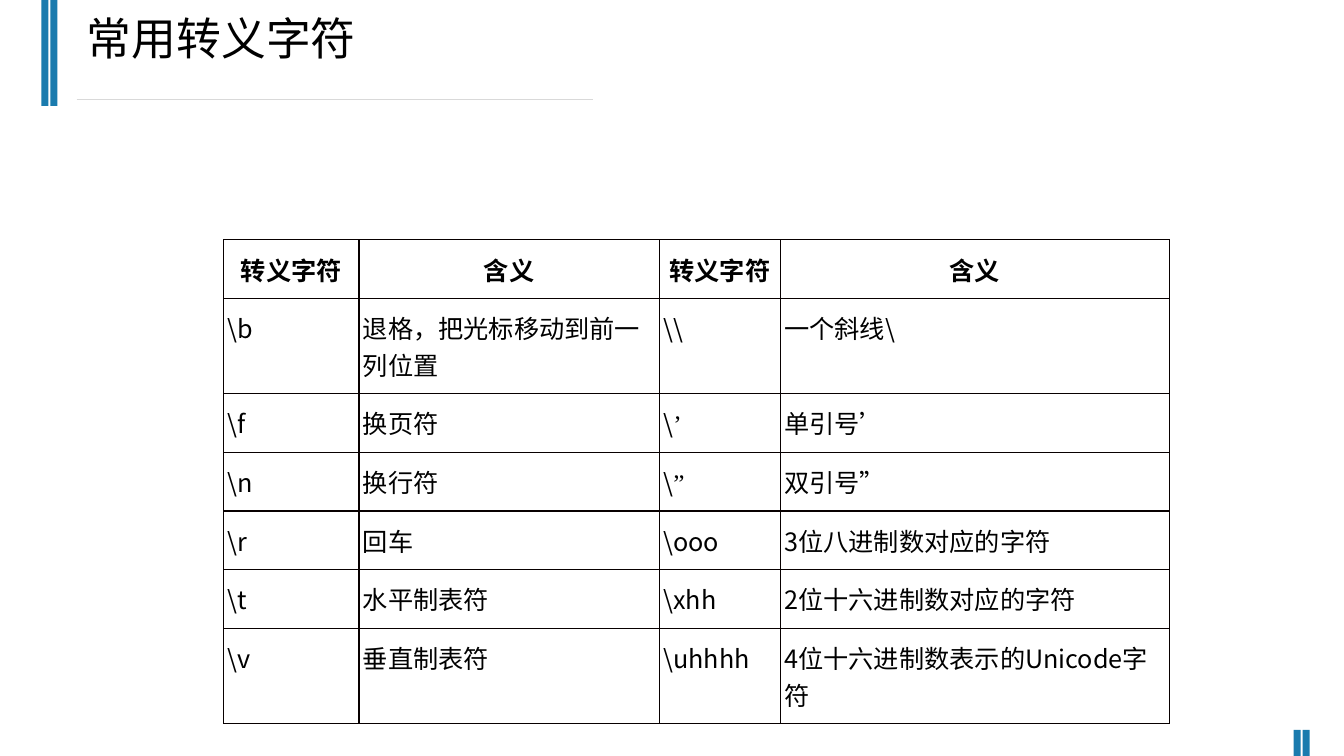
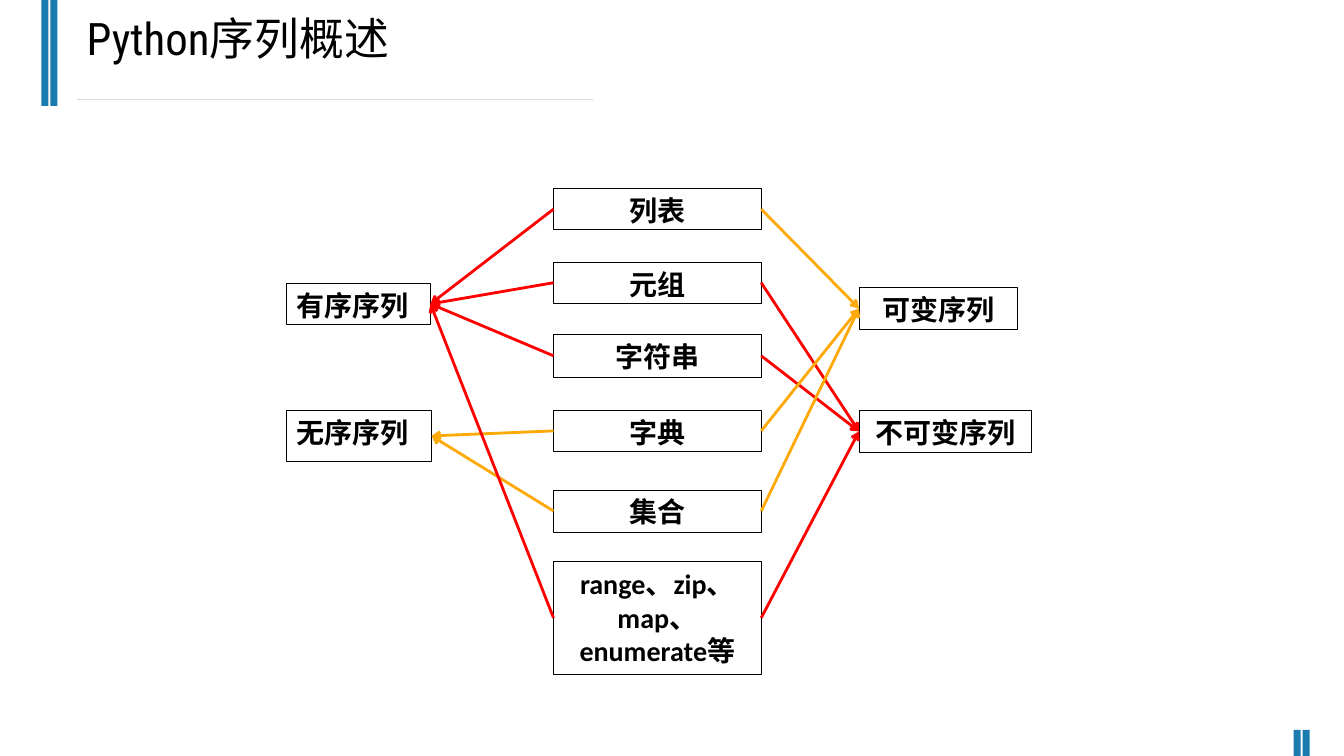
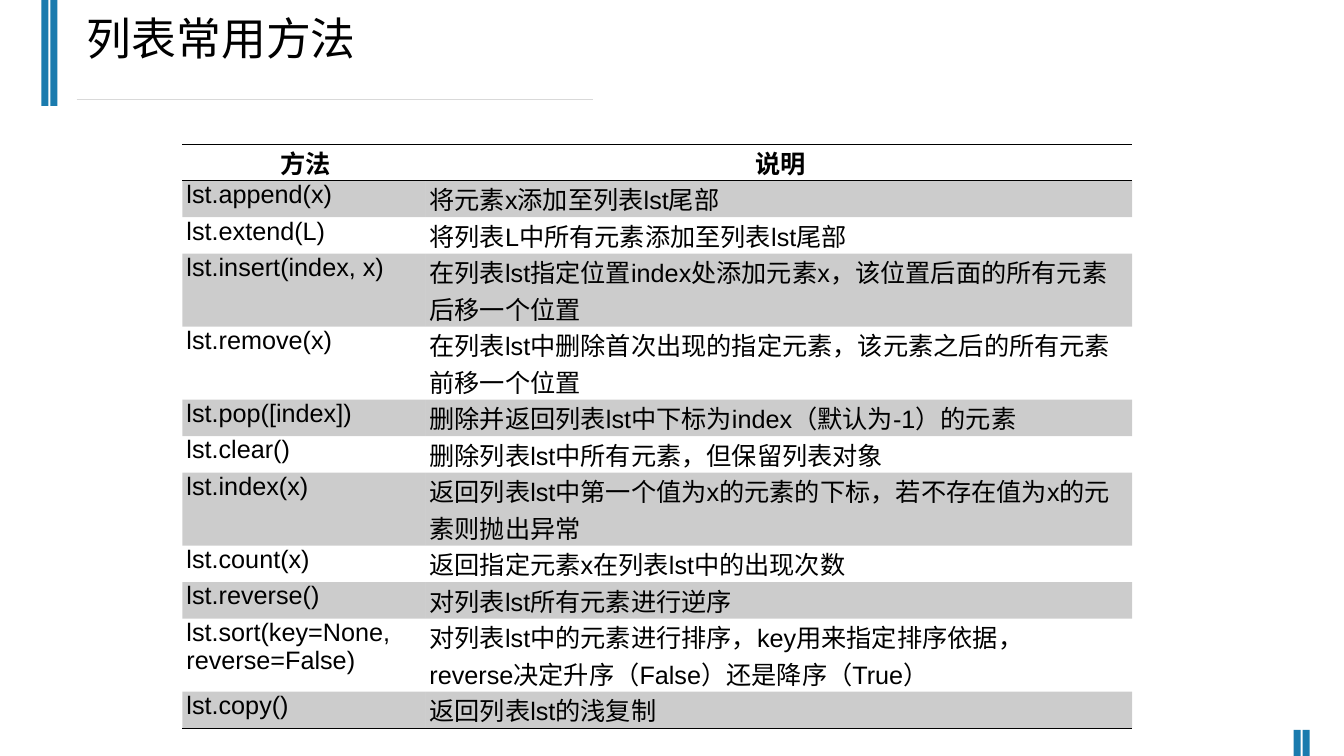
from itertools import groupby

from lxml import etree
from pptx import Presentation
from pptx.dml.color import RGBColor
from pptx.enum.lang import MSO_LANGUAGE_ID
from pptx.enum.shapes import MSO_CONNECTOR, MSO_SHAPE
from pptx.enum.text import MSO_ANCHOR, MSO_AUTO_SIZE, PP_ALIGN
from pptx.oxml.ns import qn
from pptx.util import Pt

PX = 9144
RECT, STRAIGHT = MSO_SHAPE.RECTANGLE, MSO_CONNECTOR.STRAIGHT
LEFT, CENTER, JUSTIFY = PP_ALIGN.LEFT, PP_ALIGN.CENTER, PP_ALIGN.JUSTIFY
TOP, NO_FIT = MSO_ANCHOR.TOP, MSO_AUTO_SIZE.NONE
CHINESE = MSO_LANGUAGE_ID.SIMPLIFIED_CHINESE

BLACK, WHITE, BLUE, GREY = "000000", "FFFFFF", "1A7BAE", "D9D9D9"
RED, ORANGE, GRID = "FF0000", "FDA907", "080000"
NOTO, SERIF = "Noto Sans CJK SC", "Times New Roman"
QUOTES = "’”"

BARS = [(41, 0, 7, 105), (50, 0, 7, 105), (1292, 724, 7, 26), (1283, 724, 7, 26)]
TITLE_RULE = (76, 99, 588, 99)
TITLE_BOX = (76, 6, 867, 64)
TITLE_STYLE = {"size": 32, "latin": "Roboto Condensed", "asian": "Roboto Condensed"}
BOX_STYLE = {"size": 20, "latin": "Calibri", "asian": "Calibri", "bold": True}

ESCAPES = {
    "at": (222, 238), "columns": [134, 298, 120, 386],
    "rows": [58, 91, 58, 58, 58, 58, 91],
    "margins": (4, 11), "header_margins": (0, 11),
    "lines": range(8), "line": GRID, "verticals": True, "banded": False, "font": NOTO,
    "cells": [
        ("转义字符", "含义", "转义字符", "含义"),
        ("\\b", "退格，把光标移动到前一列位置", "\\\\", "一个斜线\\"),
        ("\\f", "换页符", "\\’", "单引号’"),
        ("\\n", "换行符", "\\”", "双引号”"),
        ("\\r", "回车", "\\ooo", "3位八进制数对应的字符"),
        ("\\t", "水平制表符", "\\xhh", "2位十六进制数对应的字符"),
        ("\\v", "垂直制表符", "\\uhhhh", "4位十六进制数表示的Unicode字符"),
    ],
}

METHODS = {
    "at": (181, 143), "columns": [241, 701],
    "rows": [35, 35, 35, 69, 69, 35, 35, 69, 35, 35, 69, 35],
    "margins": (4, 0), "header_margins": (4, 0),
    "lines": (0, 1, 12), "line": BLACK, "verticals": False, "banded": True, "font": "Arial",
    "cells": [
        ("方法", "说明"),
        ("lst.append(x)", "将元素x添加至列表lst尾部"),
        ("lst.extend(L)", "将列表L中所有元素添加至列表lst尾部"),
        ("lst.insert(index, x)", "在列表lst指定位置index处添加元素x，该位置后面的所有元素后移一个位置"),
        ("lst.remove(x)", "在列表lst中删除首次出现的指定元素，该元素之后的所有元素前移一个位置"),
        ("lst.pop([index])", "删除并返回列表lst中下标为index（默认为-1）的元素"),
        ("lst.clear()", "删除列表lst中所有元素，但保留列表对象"),
        ("lst.index(x)", "返回列表lst中第一个值为x的元素的下标，若不存在值为x的元素则抛出异常"),
        ("lst.count(x)", "返回指定元素x在列表lst中的出现次数"),
        ("lst.reverse()", "对列表lst所有元素进行逆序"),
        ("lst.sort(key=None, reverse=False)",
         "对列表lst中的元素进行排序，key用来指定排序依据，\nreverse决定升序（False）还是降序（True）"),
        ("lst.copy()", "返回列表lst的浅复制"),
    ],
}

ORDERED, UNORDERED, MUTABLE, IMMUTABLE = "有序序列", "无序序列", "可变序列", "不可变序列"
CATEGORIES = [
    (ORDERED, (284, 281, 143, 41), JUSTIFY),
    (UNORDERED, (284, 407, 144, 51), JUSTIFY),
    (MUTABLE, (852, 285, 157, 42), CENTER),
    (IMMUTABLE, (852, 407, 171, 42), CENTER),
]
TYPES_X, TYPES_WIDTH = 549, 206
TYPES = [
    ("列表", 187, 41, ORDERED, MUTABLE),
    ("元组", 260, 41, ORDERED, IMMUTABLE),
    ("字符串", 332, 42, ORDERED, IMMUTABLE),
    ("字典", 407, 41, UNORDERED, MUTABLE),
    ("集合", 486, 42, UNORDERED, MUTABLE),
    ("range、zip、map、enumerate等", 557, 112, ORDERED, IMMUTABLE),
]
ARROW_COLORS = {ORDERED: RED, IMMUTABLE: RED, UNORDERED: ORANGE, MUTABLE: ORANGE}


def color(value):
    return RGBColor.from_string(value)


def emu(lengths):
    return [length * PX for length in lengths]


def apply(target, values):
    for name, value in values.items():
        setattr(target, name, value)


def write(frame, text, align, size, latin, asian, bold=False):
    for index, line in enumerate(text.split("\n")):
        paragraph = frame.add_paragraph() if index else frame.paragraphs[0]
        paragraph.alignment = align
        for quoted, letters in groupby(line, lambda letter: letter in QUOTES):
            run = paragraph.add_run()
            run.text = "".join(letters)
            run.font.color.rgb = color(BLACK)
            apply(run.font, {"size": Pt(size), "bold": bold, "language_id": CHINESE,
                             "name": SERIF if quoted else latin})
            etree.SubElement(run._r.get_or_add_rPr(), qn("a:ea"), typeface=asian)


def add_box(slide, at, fill, line=None):
    box = slide.shapes.add_shape(RECT, *emu(at))
    box.shadow.inherit = False
    box.fill.solid()
    box.fill.fore_color.rgb = color(fill)
    if line:
        box.line.color.rgb = color(line)
        box.line.width = Pt(0.5)
    else:
        box.line.fill.background()
    return box


def add_line(slide, ends, line, width):
    connector = slide.shapes.add_connector(STRAIGHT, *emu(ends))
    connector.line.color.rgb = color(line)
    connector.line.width = Pt(width)
    etree.SubElement(connector.element.spPr, qn("a:effectLst"))
    return connector


def add_arrow(slide, start, start_side, end, end_side, line):
    arrow = add_line(slide, (0, 0, 0, 0), line, 2)
    arrow.begin_connect(start, start_side)
    arrow.end_connect(end, end_side)
    etree.SubElement(arrow.line._get_or_add_ln(), qn("a:tailEnd"), type="arrow")


def add_slide(deck, layout, title):
    slide = deck.slides.add_slide(layout)
    heading = slide.shapes.title
    apply(heading, dict(zip(("left", "top", "width", "height"), emu(TITLE_BOX))))
    apply(heading.text_frame, {"word_wrap": True, "vertical_anchor": TOP, "auto_size": NO_FIT})
    write(heading.text_frame, title, LEFT, **TITLE_STYLE)
    return slide


def furnish(layout, slide):
    parts = [add_box(slide, bar, BLUE) for bar in BARS]
    parts.append(add_line(slide, TITLE_RULE, GREY, 0.75))
    for part in parts:
        layout.shapes.element.append(part.element)


def border(cell, sides, line):
    properties = cell._tc.get_or_add_tcPr()
    for side, shown in sides.items():
        edge = etree.SubElement(properties, qn("a:ln" + side), w=str(Pt(1)))
        if shown:
            paint = etree.SubElement(edge, qn("a:solidFill"))
            etree.SubElement(paint, qn("a:srgbClr"), val=line)
        else:
            etree.SubElement(edge, qn("a:noFill"))


def shade(cell):
    cell.fill.solid()
    cell.fill.fore_color.rgb = color(BLACK)
    tint = cell._tc.tcPr.find(qn("a:solidFill")).find(qn("a:srgbClr"))
    etree.SubElement(tint, qn("a:alpha"), val="20000")


def add_grid(slide, grid):
    columns, rows = grid["columns"], grid["rows"]
    at = emu((*grid["at"], sum(columns), sum(rows)))
    table = slide.shapes.add_table(len(rows), len(columns), *at).table
    apply(table, {"first_row": False, "horz_banding": False})
    for column, width in zip(table.columns, emu(columns)):
        column.width = width
    for index, (row, height) in enumerate(zip(table.rows, emu(rows))):
        row.height = height
        header = index == 0
        left, gap = emu(grid["header_margins" if header else "margins"])
        lines, verticals = grid["lines"], grid["verticals"]
        sides = {"L": verticals, "R": verticals, "T": index in lines, "B": index + 1 in lines}
        for cell, text in zip(row.cells, grid["cells"][index]):
            apply(cell, {"margin_left": left, "margin_right": 0, "margin_top": gap,
                         "margin_bottom": gap, "vertical_anchor": TOP})
            border(cell, sides, grid["line"])
            if grid["banded"] and index % 2:
                shade(cell)
            else:
                cell.fill.background()
            write(cell.text_frame, text, CENTER if header else LEFT,
                  18, grid["font"], NOTO, header)


def add_label(slide, text, at, align):
    label = add_box(slide, at, WHITE, BLACK)
    apply(label.text_frame, {"word_wrap": True, "vertical_anchor": TOP})
    write(label.text_frame, text, align, **BOX_STYLE)
    return label


def add_overview(slide):
    categories = {name: add_label(slide, name, at, align) for name, at, align in CATEGORIES}
    for name, top, height, order, change in TYPES:
        kind = add_label(slide, name, (TYPES_X, top, TYPES_WIDTH, height), CENTER)
        add_arrow(slide, kind, 1, categories[order], 3, ARROW_COLORS[order])
        add_arrow(slide, kind, 3, categories[change], 1, ARROW_COLORS[change])


def main():
    deck = Presentation()
    apply(deck, {"slide_width": 1333 * PX, "slide_height": 750 * PX})
    layout = deck.slide_layouts[5]
    escapes = add_slide(deck, layout, "常用转义字符")
    furnish(layout, escapes)
    add_grid(escapes, ESCAPES)
    add_overview(add_slide(deck, layout, "Python序列概述"))
    add_grid(add_slide(deck, layout, "列表常用方法"), METHODS)
    deck.save("out.pptx")


if __name__ == "__main__":
    main()
